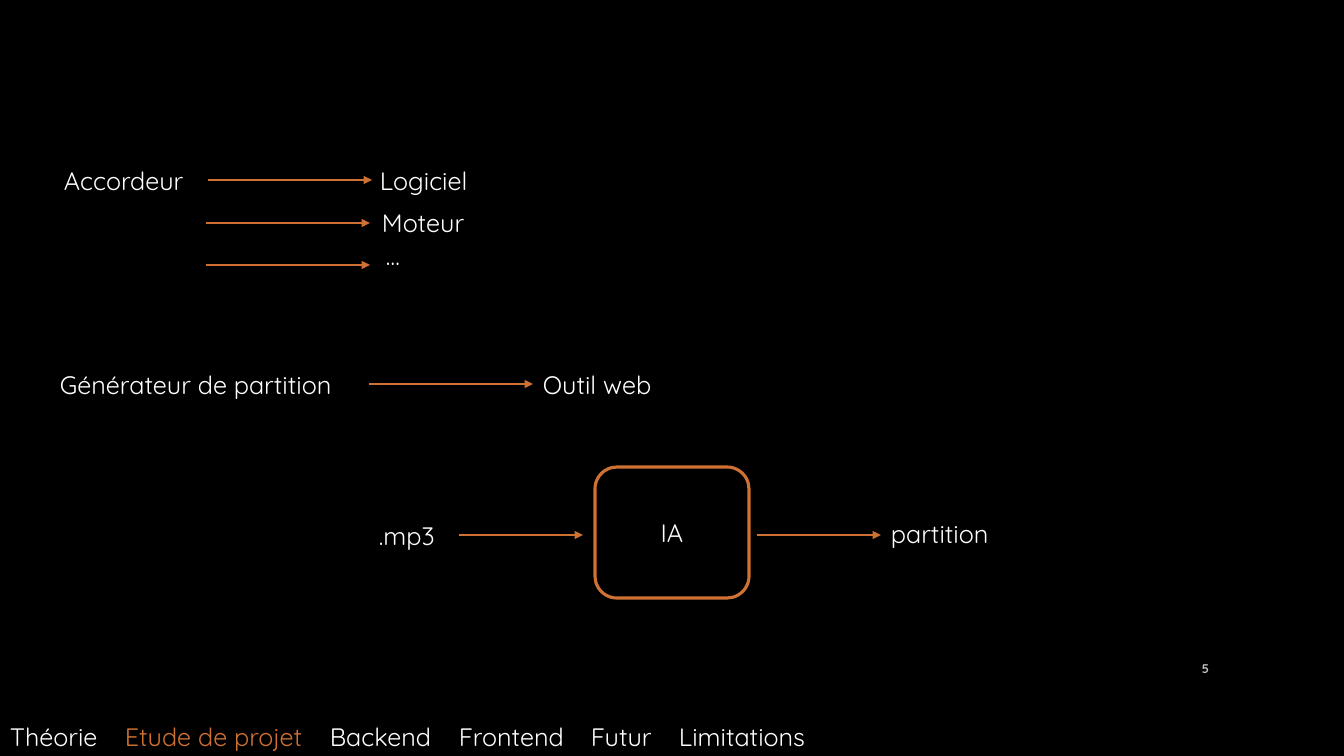
"""Build the project study slide: existing tuners and score generators."""
from dataclasses import dataclass

from lxml.etree import SubElement
from pptx import Presentation
from pptx.dml.color import RGBColor
from pptx.enum.shapes import MSO_CONNECTOR, MSO_SHAPE
from pptx.enum.text import MSO_ANCHOR, MSO_AUTO_SIZE, PP_ALIGN
from pptx.oxml.ns import qn
from pptx.slide import Slide
from pptx.text.text import _Paragraph
from pptx.util import Pt

BLACK = RGBColor(0x00, 0x00, 0x00)
WHITE = RGBColor(0xFF, 0xFF, 0xFF)
GREY = RGBColor(0xBF, 0xBF, 0xBF)
ORANGE = RGBColor(0xCF, 0x71, 0x33)
FONT = "Quicksand"
EMU_PER_PX = 914400 / 100.8
TEXT_HEIGHT = 40


@dataclass(frozen=True)
class Label:
    text: str
    x: int
    y: int
    width: int


@dataclass(frozen=True)
class Arrow:
    x: int
    y: int
    length: int


@dataclass(frozen=True)
class Section:
    text: str
    tab: int


LABELS = [
    Label("Accordeur", 54, 160, 153),
    Label("Générateur de partition", 50, 364, 361),
    Label("Logiciel", 370, 160, 155),
    Label("Moteur", 372, 202, 143),
    Label("…", 376, 235, 73),
    Label("Outil web", 533, 364, 320),
    Label(".mp3", 369, 515, 94),
    Label("partition", 881, 513, 136),
]
ARROWS = [
    Arrow(208, 180, 164),
    Arrow(206, 223, 164),
    Arrow(206, 265, 164),
    Arrow(369, 384, 164),
    Arrow(459, 535, 124),
    Arrow(757, 535, 124),
]
SECTIONS = [
    Section("Théorie", 0),
    Section("Etude de projet", 115),
    Section("Backend", 320),
    Section("Frontend", 449),
    Section("Futur", 581),
    Section("Limitations", 669),
]
CURRENT_SECTION = "Etude de projet"


def px(value: int) -> int:
    return round(value * EMU_PER_PX)


def add_run(p: _Paragraph, text: str, color: RGBColor = WHITE,
            size: int = 18, bold: bool = False) -> None:
    r = p.add_run()
    r.text = text
    r.font.name = FONT
    r.font.size = Pt(size)
    r.font.bold = bold
    r.font.color.rgb = color


def add_text_box(slide: Slide, x: int, y: int, width: int) -> _Paragraph:
    sp = slide.shapes.add_textbox(px(x), px(y), px(width), px(TEXT_HEIGHT))
    tf = sp.text_frame
    tf.word_wrap = True
    tf.auto_size = MSO_AUTO_SIZE.SHAPE_TO_FIT_TEXT
    return tf.paragraphs[0]


def add_label(slide: Slide, label: Label) -> None:
    p = add_text_box(slide, label.x, label.y, label.width)
    add_run(p, label.text)


def add_arrow(slide: Slide, arrow: Arrow) -> None:
    cxn = slide.shapes.add_connector(
        MSO_CONNECTOR.STRAIGHT, px(arrow.x), px(arrow.y),
        px(arrow.x + arrow.length), px(arrow.y))
    cxn.line.color.rgb = ORANGE
    cxn.line.width = Pt(2)
    SubElement(cxn.line._get_or_add_ln(), qn("a:tailEnd"), type="triangle")
    SubElement(cxn._element.spPr, qn("a:effectLst"))


def add_ai_box(slide: Slide) -> None:
    sp = slide.shapes.add_shape(MSO_SHAPE.ROUNDED_RECTANGLE,
                                px(595), px(467), px(154), px(131))
    sp.shadow.inherit = False
    sp.fill.background()
    sp.line.color.rgb = ORANGE
    sp.line.width = Pt(2.25)
    tf = sp.text_frame
    tf.vertical_anchor = MSO_ANCHOR.MIDDLE
    p = tf.paragraphs[0]
    p.alignment = PP_ALIGN.CENTER
    add_run(p, "IA")


def add_slide_number(slide: Slide) -> None:
    sp = slide.shapes.add_textbox(px(1159), px(648), px(60), px(TEXT_HEIGHT))
    tf = sp.text_frame
    tf.word_wrap = True
    tf.vertical_anchor = MSO_ANCHOR.MIDDLE
    p = tf.paragraphs[0]
    p.alignment = PP_ALIGN.RIGHT
    add_run(p, "5", GREY, size=9, bold=True)


def add_navigation(slide: Slide) -> None:
    p = add_text_box(slide, 0, 716, 881)
    tabs = SubElement(p._p.get_or_add_pPr(), qn("a:tabLst"))
    for section in SECTIONS:
        if section.tab:
            SubElement(tabs, qn("a:tab"), pos=str(px(section.tab)), algn="l")
            add_run(p, "\t")
        color = ORANGE if section.text == CURRENT_SECTION else WHITE
        add_run(p, section.text, color)


def main() -> None:
    prs = Presentation()
    prs.slide_width, prs.slide_height = px(1344), px(756)
    slide = prs.slides.add_slide(prs.slide_layouts[6])
    slide.background.fill.solid()
    slide.background.fill.fore_color.rgb = BLACK
    for label in LABELS:
        add_label(slide, label)
    for arrow in ARROWS:
        add_arrow(slide, arrow)
    add_ai_box(slide)
    add_slide_number(slide)
    add_navigation(slide)
    prs.save("out.pptx")


if __name__ == "__main__":
    main()
